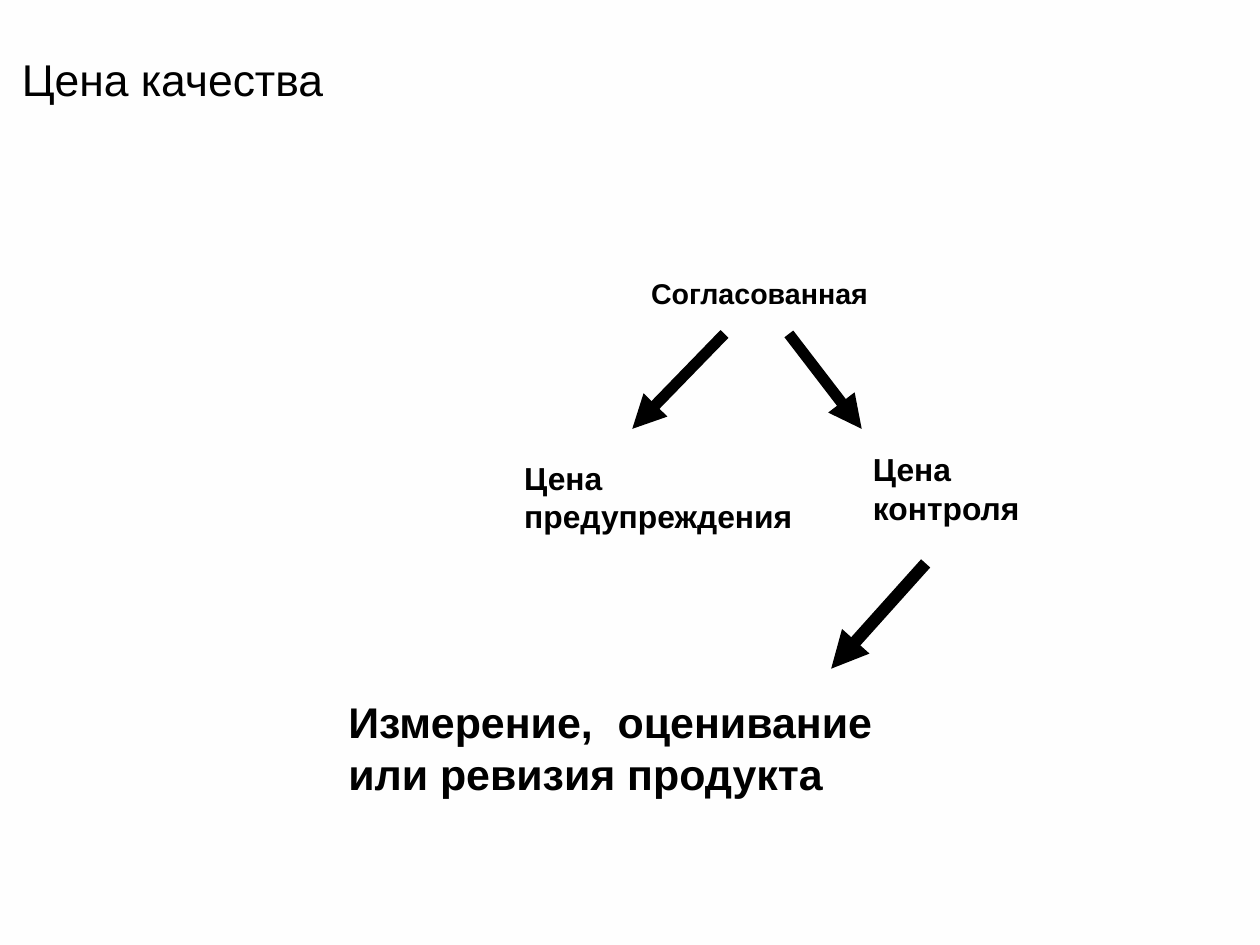
from lxml.etree import SubElement
from pptx import Presentation
from pptx.dml.color import RGBColor
from pptx.enum.shapes import MSO_CONNECTOR
from pptx.enum.text import MSO_ANCHOR, MSO_AUTO_SIZE, PP_ALIGN
from pptx.oxml.ns import qn
from pptx.util import Cm, Pt

COLORS = {"ink": "000000", "top": "FEFEFE", "bottom": "FFFFFF"}
INK = RGBColor.from_string(COLORS["ink"])


def write(frame, lines, size, bold, align, before=0):
    frame.text = "\n".join(lines)
    paragraph_format = {"alignment": align, "space_before": Pt(before)}
    font_format = {"name": "Arial", "size": Pt(size), "bold": bold}
    for paragraph in frame.paragraphs:
        for key, value in paragraph_format.items():
            setattr(paragraph, key, value)
        for run in paragraph.runs:
            for key, value in font_format.items():
                setattr(run.font, key, value)
            run.font.color.rgb = INK


prs = Presentation()
prs.slide_width, prs.slide_height = Cm(28), Cm(21)
slide = prs.slides.add_slide(prs.slide_layouts[5])

# Background
background = slide.background.fill
background.gradient()
background.gradient_angle = 270
for stop, shade, position in zip(background.gradient_stops, ("top", "bottom"), (0, 1)):
    stop.color.rgb = RGBColor.from_string(COLORS[shade])
    stop.position = position

# Title
title = slide.shapes.title
title_box = {"left": Cm(0.23), "top": Cm(0), "width": Cm(23.8), "height": Cm(3.5)}
for key, value in title_box.items():
    setattr(title, key, value)
title.text_frame.vertical_anchor = MSO_ANCHOR.MIDDLE
write(title.text_frame, ["Цена качества"], 28, False, PP_ALIGN.LEFT)

# Labels of the cost tree: lines, left, top, width, height, size, wrap, align, space before
LEFT, JUSTIFY = PP_ALIGN.LEFT, PP_ALIGN.JUSTIFY
labels = [
    (["Согласованная"], 14.22, 6, 5.5, 1.02, 18, False, LEFT, 0),
    (["Цена", "предупреждения"], 11.4, 10.06, 7.95, 1.96, 20, True, LEFT, 0),
    (["Цена", "контроля"], 19.15, 9.88, 3.78, 1.96, 20, False, LEFT, 0),
    (["Измерение, оценивание или ревизия продукта"],
     7.49, 15.34, 12.14, 2.54, 27, True, JUSTIFY, 15),
]
for lines, left, top, width, height, size, wrap, align, before in labels:
    label = slide.shapes.add_textbox(Cm(left), Cm(top), Cm(width), Cm(height))
    label.text_frame.word_wrap = wrap
    label.text_frame.auto_size = MSO_AUTO_SIZE.SHAPE_TO_FIT_TEXT
    write(label.text_frame, lines, size, True, align, before)

# Arrows between the levels: start, end, line width
arrows = [
    ((16.1, 7.42), (14.05, 9.53), 7),
    ((17.53, 7.42), (19.15, 9.53), 7),
    ((20.57, 12.52), (18.47, 14.86), 7.75),
]
for start, end, weight in arrows:
    arrow = slide.shapes.add_connector(
        MSO_CONNECTOR.STRAIGHT, *map(Cm, start), *map(Cm, end))
    arrow.line.color.rgb = INK
    arrow.line.width = Pt(weight)
    SubElement(arrow.line._get_or_add_ln(), qn("a:tailEnd"), type="triangle")
    SubElement(arrow._element.spPr, qn("a:effectLst"))

prs.save("out.pptx")
